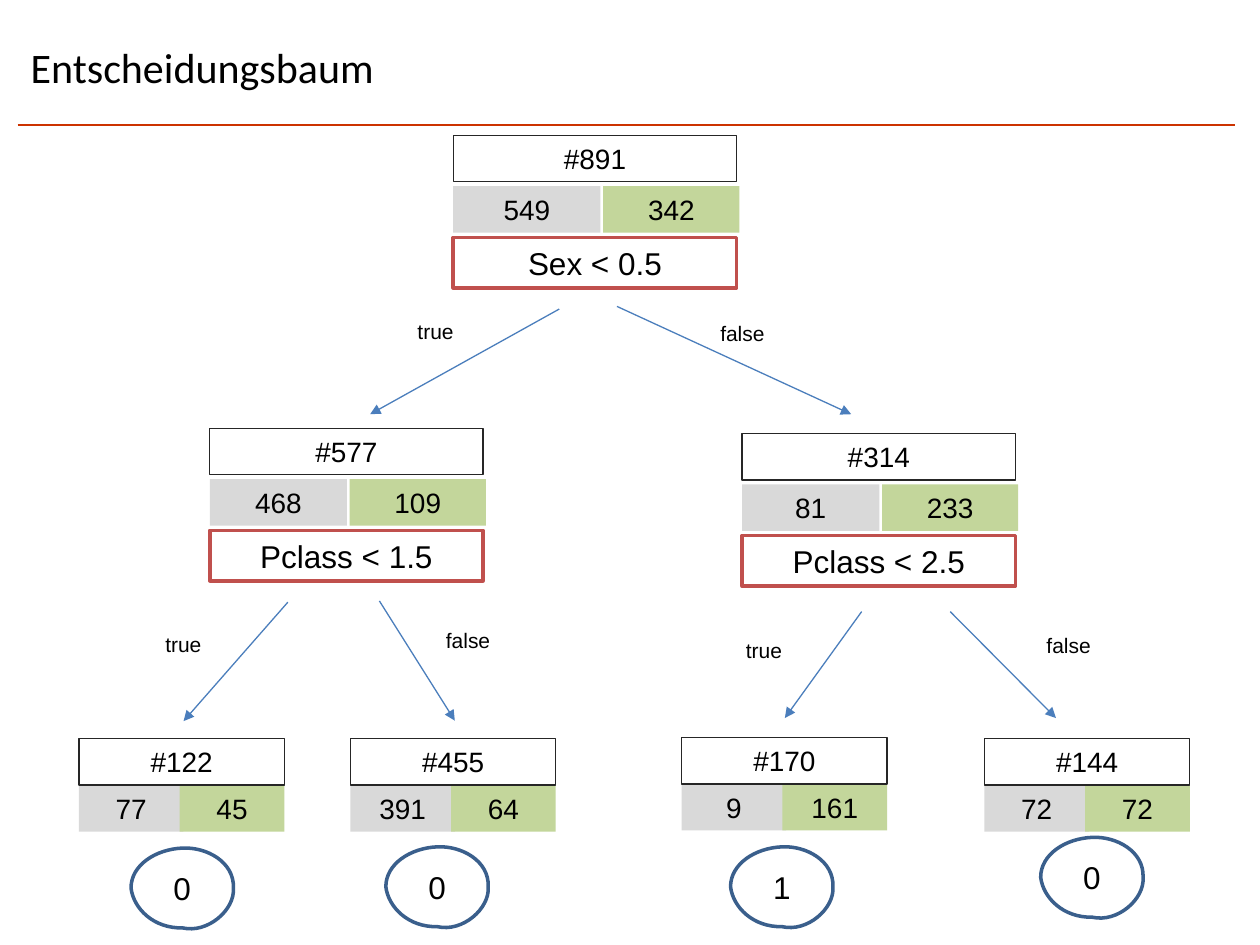
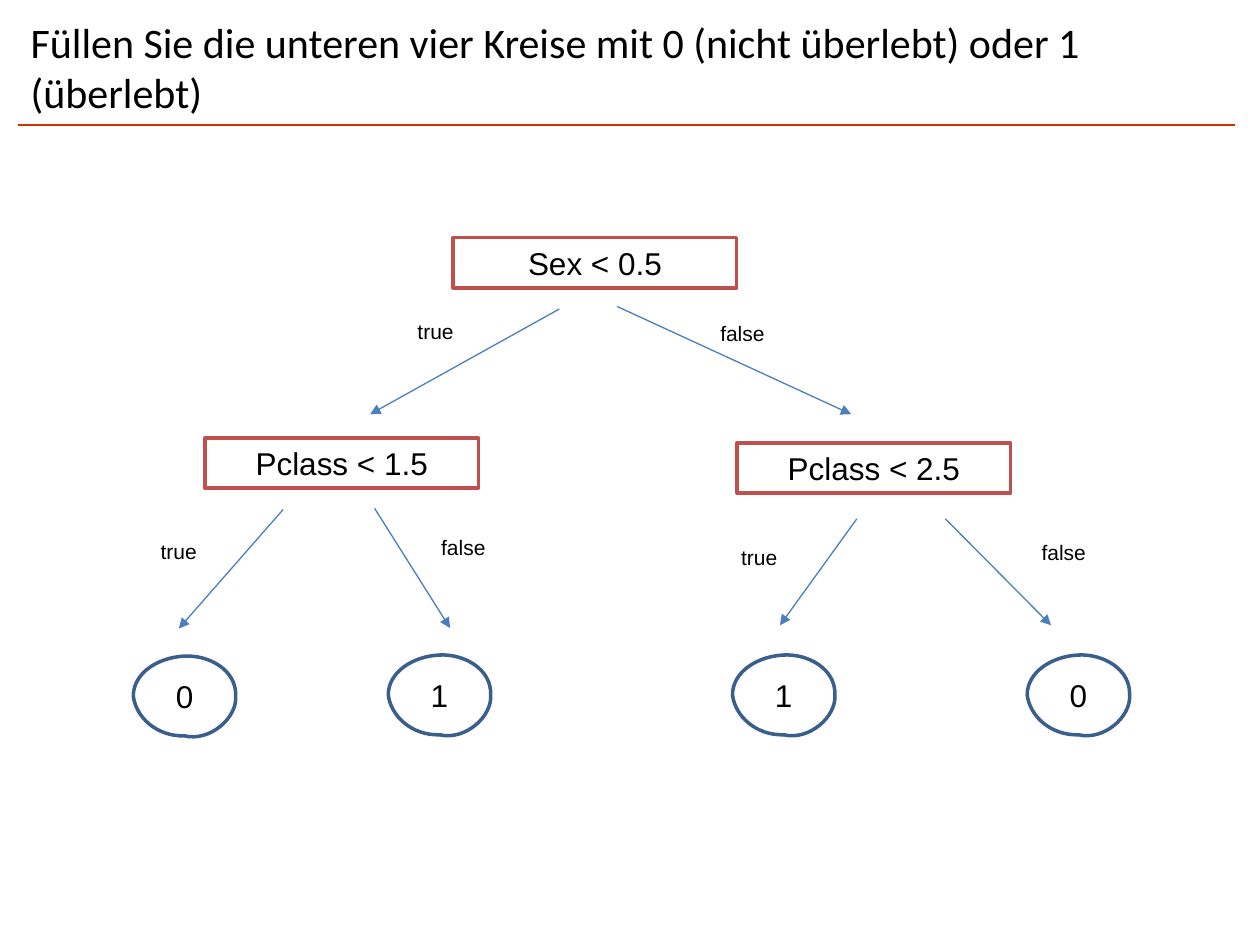
from dataclasses import dataclass

from lxml import etree
from pptx import Presentation
from pptx.dml.color import RGBColor
from pptx.enum.shapes import MSO_CONNECTOR, MSO_SHAPE
from pptx.enum.text import MSO_ANCHOR, PP_ALIGN
from pptx.oxml.ns import qn
from pptx.util import Pt

RECTANGLE = MSO_SHAPE.RECTANGLE
STRAIGHT = MSO_CONNECTOR.STRAIGHT
MIDDLE = MSO_ANCHOR.MIDDLE
TOP = MSO_ANCHOR.TOP
CENTER = PP_ALIGN.CENTER
LEFT = PP_ALIGN.LEFT

BLACK = RGBColor(0x00, 0x00, 0x00)
WHITE = RGBColor(0xFF, 0xFF, 0xFF)
RULE_RED = RGBColor(0xCC, 0x33, 0x00)
QUESTION_RED = RGBColor(0xC0, 0x50, 0x4D)
ARROW_BLUE = RGBColor(0x4B, 0x7E, 0xBC)
LEAF_BLUE = RGBColor(0x3A, 0x5F, 0x8C)
TOTAL_GRAY = RGBColor(0x26, 0x26, 0x26)
DIED_GRAY = RGBColor(0xD9, 0xD9, 0xD9)
SURVIVED_GREEN = RGBColor(0xC3, 0xD6, 0x9B)

ROW_HEIGHT = 26.6
QUESTION_HEIGHT = 28.8
LEAF_WIDTH = 117.4
LEAF_COUNT_WIDTH = 59.8
COUNT_WIDTH = 77.8
COUNT_GAP = 1.5
CIRCLE_START = (0, 22.8)
CIRCLE_CURVES = [
    ((0, 9.8), (14, 0.7), (29.4, 0)),
    ((43.3, -0.7), (59.1, 8), (58.5, 22.8)),
    ((59.5, 35.2), (43.9, 49), (29.4, 45.6)),
    ((13, 46), (1.4, 34.6), CIRCLE_START),
]


@dataclass
class Branch:
    answer: str
    start: tuple
    end: tuple
    label: tuple


@dataclass
class Split:
    question: str
    width: float
    branches: list


SEX = Split("Sex < 0.5", 162, [
    Branch("true", (60.6, 40.9), (-47.5, 101), (-42.5, 42.9)),
    Branch("false", (93.6, 39.4), (227.4, 101), (132.9, 44)),
])
PCLASS_LEFT = Split("Pclass < 1.5", 156.2, [
    Branch("true", (44.6, 41), (-15, 109), (-47.5, 54.2)),
    Branch("false", (96.9, 40.3), (140, 108.7), (115.2, 51.8)),
])
PCLASS_RIGHT = Split("Pclass < 2.5", 156.2, [
    Branch("true", (68.3, 43.4), (24.4, 104.2), (-19.9, 54.5)),
    Branch("false", (118.9, 43.4), (179.3, 104.2), (154.2, 51.7)),
])

COUNTED_SPLITS = [
    (SEX, 259, 135.7, 549, 342),
    (PCLASS_LEFT, 119.9, 303.1, 468, 109),
    (PCLASS_RIGHT, 424.1, 306.1, 81, 233),
]
COUNTED_LEAVES = [
    (45.1, 422, 77, 45),
    (200.2, 422, 391, 64),
    (389.5, 421.4, 9, 161),
    (562.5, 422, 72, 72),
]
COUNTED_CIRCLES = [
    (74.9, 484.6, "0"),
    (220.5, 483.9, "0"),
    (417.5, 483.9, "1"),
    (594.7, 478.5, "0"),
]
PLAIN_SPLITS = [
    (SEX, 259, 135.7),
    (PCLASS_LEFT, 117.2, 250.2),
    (PCLASS_RIGHT, 421.3, 253.1),
]
PLAIN_CIRCLES = [
    (76.2, 374.9, "0"),
    (221.9, 374.3, "1"),
    (418.6, 374.3, "1"),
    (587, 374.3, "0"),
]


def write(shape, text, size, font="Arial", align=CENTER, anchor=MIDDLE):
    frame = shape.text_frame
    frame.word_wrap = True
    frame.vertical_anchor = anchor
    frame.text = text
    paragraph = frame.paragraphs[0]
    paragraph.alignment = align
    style = paragraph.runs[0].font
    style.name = font
    style.size = Pt(size)
    style.color.rgb = BLACK


def paint(shape, fill=None, outline=None, weight=0):
    shape.shadow.inherit = False
    if fill is None:
        shape.fill.background()
    else:
        shape.fill.solid()
        shape.fill.fore_color.rgb = fill
    if outline is None:
        shape.line.fill.background()
    else:
        shape.line.color.rgb = outline
        shape.line.width = Pt(weight)


def add_box(slide, left, top, width, height, text, size, **look):
    box = slide.shapes.add_shape(
        RECTANGLE, Pt(left), Pt(top), Pt(width), Pt(height))
    paint(box, **look)
    write(box, text, size)
    return box


def add_text(slide, left, top, width, height, text, size, **style):
    area = slide.shapes.add_textbox(Pt(left), Pt(top), Pt(width), Pt(height))
    write(area, text, size, **style)


def add_line(slide, start, end, color, weight):
    line = slide.shapes.add_connector(
        STRAIGHT, *(Pt(value) for value in (*start, *end)))
    line.line.color.rgb = color
    line.line.width = Pt(weight)
    etree.SubElement(line._element.spPr, qn("a:effectLst"))
    return line


def add_arrow(slide, start, end):
    arrow = add_line(slide, start, end, ARROW_BLUE, 0.75)
    etree.SubElement(arrow.line._get_or_add_ln(), qn("a:tailEnd"),
                     type="triangle")


def add_split(slide, split, left, top):
    add_box(slide, left, top, split.width, QUESTION_HEIGHT, split.question, 18,
            fill=WHITE, outline=QUESTION_RED, weight=2)
    for branch in split.branches:
        start, end, label = (
            (left + x, top + y)
            for x, y in (branch.start, branch.end, branch.label))
        add_arrow(slide, start, end)
        add_text(slide, *label, 64.8, 21.6, branch.answer, 12, anchor=TOP)


def add_count(slide, left, top, width, count, color):
    cell = add_box(slide, left, top, width, ROW_HEIGHT, str(count), 16,
                   fill=color)
    cell.text_frame.margin_left = cell.text_frame.margin_right = 0


def add_counts(slide, left, top, width, row_step, died, survived,
               died_width, survived_left, survived_width):
    counts_top = top + row_step
    add_count(slide, left, counts_top, died_width, died, DIED_GRAY)
    add_count(slide, survived_left, counts_top, survived_width, survived,
              SURVIVED_GREEN)
    add_box(slide, left, top, width, ROW_HEIGHT, f"#{died + survived}", 16,
            outline=TOTAL_GRAY, weight=0.75)


def add_split_counts(slide, left, question_top, width, died, survived):
    survived_left = left + width + COUNT_GAP - COUNT_WIDTH
    add_counts(slide, left, question_top - 58.4, width, 29.1, died, survived,
               survived_left - COUNT_GAP - left, survived_left, COUNT_WIDTH)


def add_leaf_counts(slide, left, top, died, survived):
    add_counts(slide, left, top, LEAF_WIDTH, ROW_HEIGHT, died, survived,
               LEAF_COUNT_WIDTH, left + LEAF_WIDTH - LEAF_COUNT_WIDTH,
               LEAF_COUNT_WIDTH)


def bend(outline, curves):
    for segment, curve in zip(list(outline.iter(qn("a:lnTo"))), curves):
        bezier = etree.Element(qn("a:cubicBezTo"))
        for x, y in curve:
            etree.SubElement(bezier, qn("a:pt"), x=str(Pt(x)), y=str(Pt(y)))
        segment.getparent().replace(segment, bezier)


def add_circle(slide, left, top, prediction):
    outline = slide.shapes.build_freeform(
        Pt(left + CIRCLE_START[0]), Pt(top + CIRCLE_START[1]))
    outline.add_line_segments(
        [(Pt(left + x), Pt(top + y)) for *_, (x, y) in CIRCLE_CURVES],
        close=True)
    circle = outline.convert_to_shape()
    bend(circle._element, CIRCLE_CURVES)
    paint(circle, outline=LEAF_BLUE, weight=2)
    write(circle, prediction, 18)


def add_slide(deck, title):
    slide = deck.slides.add_slide(deck.slide_layouts[6])
    add_line(slide, (10.1, 71.3), (705.6, 71.3), RULE_RED, 1)
    add_text(slide, 10.4, 4.6, 634.3, 67, title, 24, font="Calibri", align=LEFT)
    return slide


def main():
    deck = Presentation()
    deck.slide_width = Pt(720)
    deck.slide_height = Pt(540)

    tree = add_slide(deck, "Entscheidungsbaum")
    for split, left, top, died, survived in COUNTED_SPLITS:
        add_split(tree, split, left, top)
        add_split_counts(tree, left, top, split.width, died, survived)
    for leaf in COUNTED_LEAVES:
        add_leaf_counts(tree, *leaf)
    for circle in COUNTED_CIRCLES:
        add_circle(tree, *circle)

    exercise = add_slide(
        deck, "Füllen Sie die unteren vier Kreise mit 0 (nicht überlebt) "
        "oder 1 (überlebt)")
    for split in PLAIN_SPLITS:
        add_split(exercise, *split)
    for circle in PLAIN_CIRCLES:
        add_circle(exercise, *circle)

    deck.save("out.pptx")


if __name__ == "__main__":
    main()
